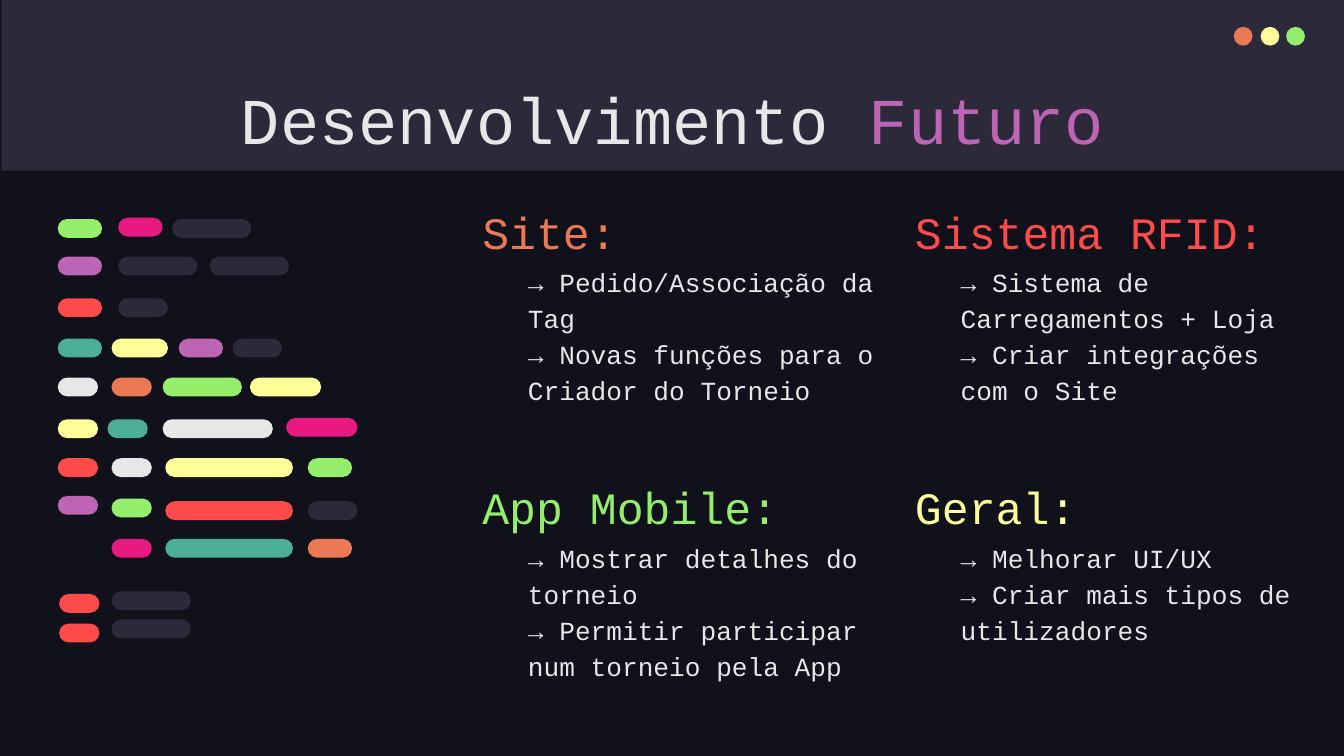
from pptx import Presentation
from pptx.dml.color import RGBColor
from pptx.enum.shapes import MSO_SHAPE
from pptx.enum.text import MSO_ANCHOR, MSO_AUTO_SIZE, PP_ALIGN
from pptx.util import Inches, Pt

RECTANGLE, OVAL, PILL = MSO_SHAPE.RECTANGLE, MSO_SHAPE.OVAL, MSO_SHAPE.ROUNDED_RECTANGLE
TOP, BOTTOM = MSO_ANCHOR.TOP, MSO_ANCHOR.BOTTOM
NO_AUTOFIT = MSO_AUTO_SIZE.NONE
CENTER, LEFT = PP_ALIGN.CENTER, PP_ALIGN.LEFT

FONT = "Courier New"
NIGHT, SLATE, WHITE = "10111A", "2C293A", "E7E7E7"
ORANGE, YELLOW, GREEN = "EC7955", "FFFF99", "94EE6B"
PINK, PURPLE, RED, TEAL = "E81A81", "BD64B5", "FD4A4A", "4CAE97"

LEFT_COLUMN, RIGHT_COLUMN = 3.49, 6.71
UPPER_ROW, LOWER_ROW = 1.47, 3.52

SECTIONS = [
    (LEFT_COLUMN, UPPER_ROW, 2.16, 2.89, "Site:", ORANGE,
     ["→ Pedido/Associação da Tag", "→ Novas funções para o Criador do Torneio"]),
    (RIGHT_COLUMN, UPPER_ROW, 2.83, 2.71, "Sistema RFID:", RED,
     ["→ Sistema de Carregamentos + Loja", "→ Criar integrações com o Site"]),
    (LEFT_COLUMN, LOWER_ROW, 2.42, 2.89, "App Mobile:", GREEN,
     ["→ Mostrar detalhes do torneio", "→ Permitir participar num torneio pela App"]),
    (RIGHT_COLUMN, LOWER_ROW, 2.16, 2.71, "Geral:", YELLOW,
     ["→ Melhorar UI/UX", "→ Criar mais tipos de utilizadores"]),
]

CODE_LINES = [
    (1.63, [(0.43, 0.33, GREEN), (1.28, 0.59, SLATE)]),
    (1.62, [(0.88, 0.33, PINK)]),
    (1.91, [(0.43, 0.33, PURPLE), (0.88, 0.59, SLATE), (1.56, 0.59, SLATE)]),
    (2.22, [(0.43, 0.33, RED), (0.88, 0.37, SLATE)]),
    (2.52, [(0.43, 0.33, TEAL), (0.83, 0.42, YELLOW), (1.33, 0.33, PURPLE), (1.73, 0.37, SLATE)]),
    (2.81, [(0.43, 0.3, WHITE), (0.83, 0.3, ORANGE), (1.21, 0.59, GREEN), (1.86, 0.53, YELLOW)]),
    (3.12, [(0.43, 0.3, YELLOW), (0.8, 0.3, TEAL), (1.21, 0.82, WHITE)]),
    (3.11, [(2.13, 0.53, PINK)]),
    (3.41, [(0.43, 0.3, RED), (0.83, 0.3, WHITE), (1.23, 0.95, YELLOW), (2.29, 0.33, GREEN)]),
    (3.69, [(0.43, 0.3, PURPLE)]),
    (3.71, [(0.83, 0.3, GREEN)]),
    (3.73, [(1.23, 0.95, RED), (2.29, 0.37, SLATE)]),
    (4.01, [(0.83, 0.3, PINK), (1.23, 0.95, TEAL), (2.29, 0.33, ORANGE)]),
    (4.4, [(0.83, 0.59, SLATE)]),
    (4.42, [(0.44, 0.3, RED)]),
    (4.61, [(0.83, 0.59, SLATE)]),
    (4.64, [(0.44, 0.3, RED)]),
]


def color(value):
    """Return the colour for a hex string."""
    return RGBColor.from_string(value)


def add_filled_shape(slide, kind, left, top, width, height, fill):
    """Add a flat preset shape without outline."""
    shape = slide.shapes.add_shape(kind, Inches(left), Inches(top), Inches(width), Inches(height))
    shape.shadow.inherit = False
    shape.fill.solid()
    shape.fill.fore_color.rgb = color(fill)
    shape.line.fill.background()
    return shape


def write_text(shape, paragraphs, size, anchor=TOP, align=LEFT, spacing=1.15):
    """Fill a shape with paragraphs given as lists of (text, colour) runs."""
    frame = shape.text_frame
    frame.word_wrap = True
    frame.auto_size = NO_AUTOFIT
    frame.vertical_anchor = anchor
    frame.margin_left = frame.margin_right = Inches(0.1)
    frame.margin_top = frame.margin_bottom = Inches(0.1)
    for index, runs in enumerate(paragraphs):
        paragraph = frame.add_paragraph() if index else frame.paragraphs[0]
        paragraph.alignment = align
        paragraph.line_spacing = spacing
        for text, text_color in runs:
            run = paragraph.add_run()
            run.text = text
            run.font.name = FONT
            run.font.size = Pt(size)
            run.font.color.rgb = color(text_color)


def add_text(slide, left, top, width, height, paragraphs, size, anchor=TOP):
    """Add a text box with formatted paragraphs."""
    box = slide.shapes.add_textbox(Inches(left), Inches(top), Inches(width), Inches(height))
    write_text(box, paragraphs, size, anchor)


def add_header(slide):
    """Add the title band with its three window dots."""
    add_filled_shape(slide, RECTANGLE, 0.01, 0, 10, 1.27, SLATE)
    for left in (9.18, 9.38, 9.57):
        add_filled_shape(slide, OVAL, left, 0.2, 0.14, 0.14,
                         {9.18: ORANGE, 9.38: YELLOW, 9.57: GREEN}[left])


def format_title(slide):
    """Place and write the title above the band."""
    title = slide.shapes.title
    title.left, title.top = Inches(0.79), Inches(0.49)
    title.width, title.height = Inches(8.43), Inches(0.63)
    runs = [("Desenvolvimento ", WHITE), ("Futuro", PURPLE)]
    write_text(title, [runs], 35, align=CENTER, spacing=1.0)
    slide.shapes._spTree.append(title._element)


def add_section(slide, left, top, heading_width, body_width, heading, heading_color, items):
    """Add a coloured heading with its indented items."""
    body = [[(item, WHITE)] for item in items]
    add_text(slide, left + 0.34, top + 0.38, body_width, 0.91, body, 14)
    add_text(slide, left, top, heading_width, 0.55, [[(heading, heading_color)]], 24, BOTTOM)


def add_code_lines(slide):
    """Add the pills that suggest lines of code."""
    for top, pills in CODE_LINES:
        for left, width, fill in pills:
            pill = add_filled_shape(slide, PILL, left, top, width, 0.14, fill)
            pill.adjustments[0] = 0.5


def main():
    """Build and save the presentation."""
    presentation = Presentation()
    presentation.slide_width, presentation.slide_height = Inches(10), Inches(5.625)
    slide = presentation.slides.add_slide(presentation.slide_layouts[5])
    slide.background.fill.solid()
    slide.background.fill.fore_color.rgb = color(NIGHT)
    add_header(slide)
    format_title(slide)
    for section in SECTIONS:
        add_section(slide, *section)
    add_code_lines(slide)
    presentation.save("out.pptx")


if __name__ == "__main__":
    main()
